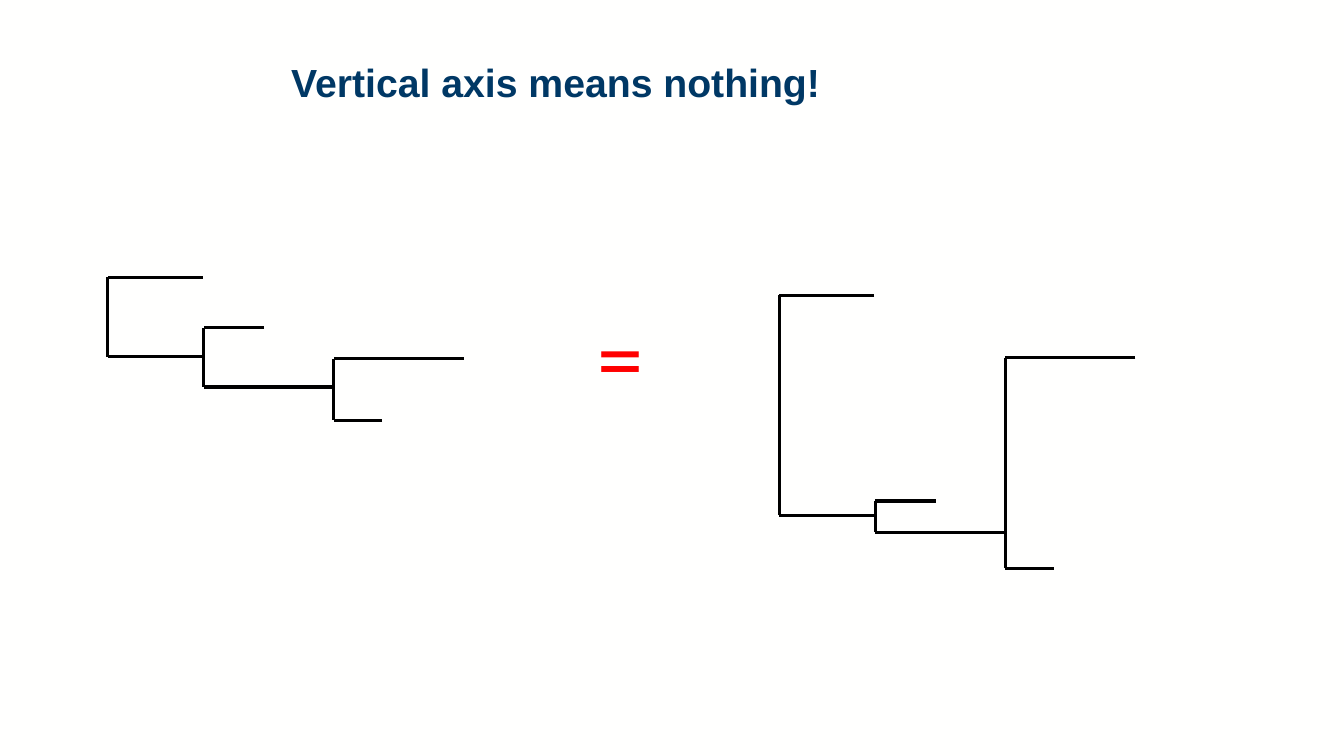
from dataclasses import dataclass

from lxml import etree
from pptx import Presentation
from pptx.dml.color import RGBColor
from pptx.enum.shapes import MSO_CONNECTOR
from pptx.enum.text import MSO_ANCHOR
from pptx.oxml.ns import qn
from pptx.util import Inches, Pt

STRAIGHT = MSO_CONNECTOR.STRAIGHT
TOP = MSO_ANCHOR.TOP
BLANK_LAYOUT = 6


@dataclass(frozen=True)
class Theme:
    background: RGBColor = RGBColor(0xFF, 0xFF, 0xFE)
    title_color: RGBColor = RGBColor(0x00, 0x38, 0x65)
    branch_color: RGBColor = RGBColor(0x00, 0x00, 0x00)
    equals_color: RGBColor = RGBColor(0xFF, 0x00, 0x00)
    title_font: str = "Arial"
    equals_font: str = "Calibri"
    title_size: float = 28
    equals_size: float = 66
    branch_width: float = 2.25


# Horizontal layout shared by both trees, measured from the root:
# fork position, end of upper branch, end of lower branch.
FORKS = [(0, 0.94, 0.94), (0.95, 1.55, 2.24), (2.24, 3.53, 2.72)]

# Root position and the upper and lower height of each fork.
TREES = [
    (1.07, [(2.75, 3.54), (3.25, 3.84), (3.56, 4.17)]),
    (7.73, [(2.93, 5.11), (4.97, 5.28), (3.55, 5.64)]),
]


class SlideBuilder:
    def __init__(self, presentation, theme):
        self.theme = theme
        self.slide = presentation.slides.add_slide(
            presentation.slide_layouts[BLANK_LAYOUT])
        fill = self.slide.background.fill
        fill.solid()
        fill.fore_color.rgb = theme.background

    def text(self, box, words, font, size, color, bold=False, spacing=None):
        shape = self.slide.shapes.add_textbox(*map(Inches, box))
        frame = shape.text_frame
        frame.word_wrap = True
        frame.vertical_anchor = TOP
        paragraph = frame.paragraphs[0]
        paragraph.line_spacing = spacing
        run = paragraph.add_run()
        run.text = words
        run.font.name = font
        run.font.size = Pt(size)
        run.font.bold = bold
        run.font.color.rgb = color

    def line(self, *ends):
        connector = self.slide.shapes.add_connector(
            STRAIGHT, *map(Inches, ends))
        connector.line.color.rgb = self.theme.branch_color
        connector.line.width = Pt(self.theme.branch_width)
        properties = connector._element.spPr
        etree.SubElement(properties, qn("a:effectLst"))

    def tree(self, root, heights):
        """Draw each fork as an upright with an upper and a lower branch."""
        for (fork, upper_end, lower_end), (upper, lower) in zip(FORKS, heights):
            left = root + fork
            self.line(left, upper, left, lower)
            self.line(root + lower_end, lower, left, lower)
            self.line(root + upper_end, upper, left, upper)


def main():
    presentation = Presentation()
    presentation.slide_width = Inches(13.33)
    presentation.slide_height = Inches(7.5)
    theme = Theme()
    builder = SlideBuilder(presentation, theme)
    builder.text((2.79, 0.58, 10.07, 0.97), "Vertical axis means nothing!",
                 theme.title_font, theme.title_size, theme.title_color,
                 bold=True, spacing=0.9)
    for root, heights in TREES:
        builder.tree(root, heights)
    builder.text((5.83, 2.92, 2.51, 1.21), "=", theme.equals_font,
                 theme.equals_size, theme.equals_color)
    presentation.save("out.pptx")


if __name__ == "__main__":
    main()
